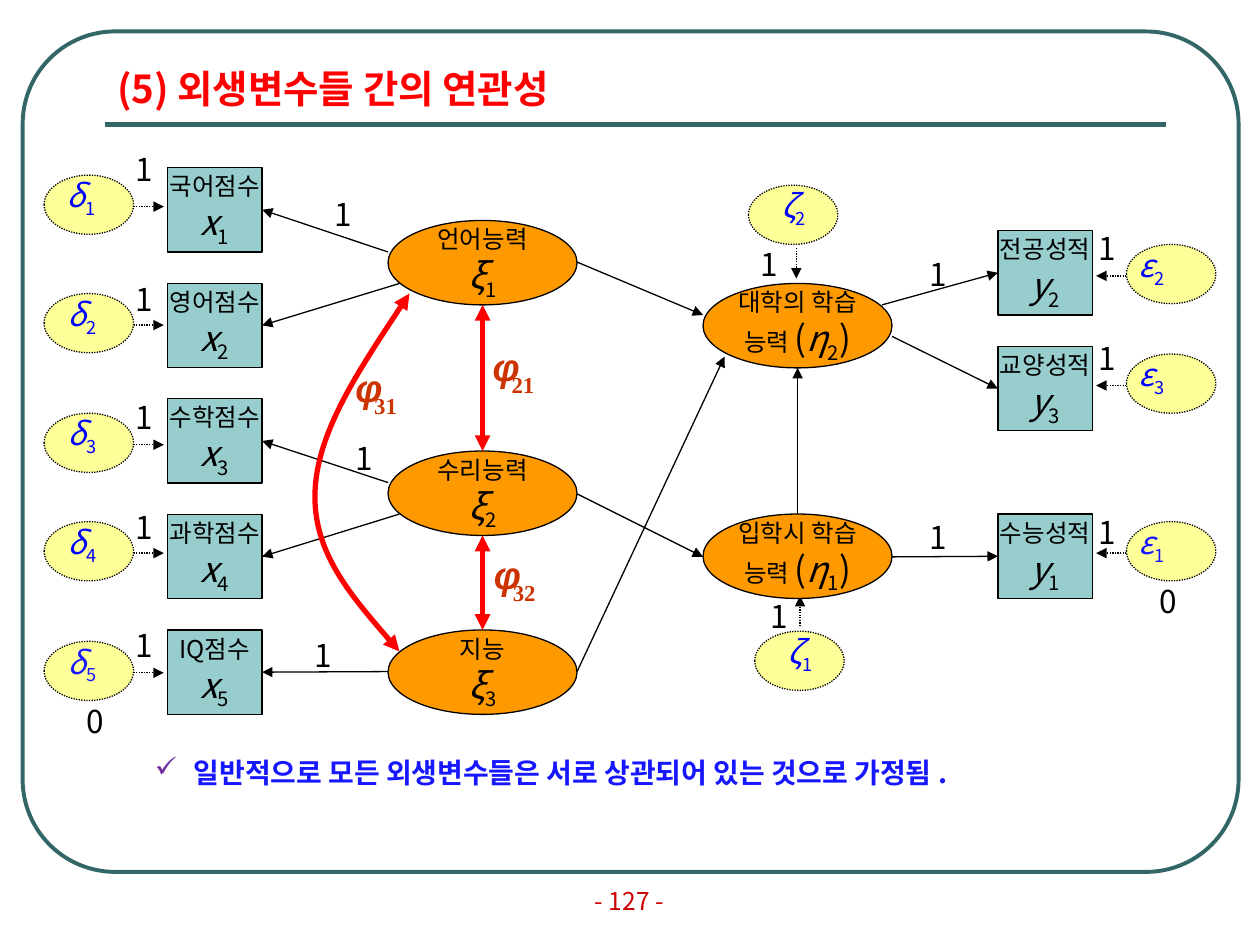
from lxml.etree import SubElement
from pptx import Presentation
from pptx.dml.color import RGBColor
from pptx.enum.dml import MSO_LINE
from pptx.enum.shapes import MSO_CONNECTOR, MSO_SHAPE
from pptx.enum.text import MSO_ANCHOR, MSO_AUTO_SIZE, PP_ALIGN
from pptx.oxml.ns import qn
from pptx.util import Inches, Pt

# Content
TITLE = "(5) 외생변수들 간의 연관성"
NOTE = "일반적으로 모든 외생변수들은 서로 상관되어 있는 것으로 가정됨 ."
PAGE = "- 127 -"

X_NAMES = ["국어점수", "영어점수", "수학점수", "과학점수", "IQ점수"]
Y_ITEMS = [("2", "전공성적", 1.83), ("3", "교양성적", 2.75), ("1", "수능성적", 4.08)]
LATENTS = [  # name, letter, index, left, top
    ("언어능력", "ξ", "1", 3.08, 1.75), ("수리능력", "ξ", "2", 3.08, 3.58),
    ("지능", "ξ", "3", 3.08, 5), ("대학의 학습", "η", "2", 5.58, 2.25),
    ("입학시 학습", "η", "1", 5.58, 4.08)]
ERRORS = [  # letter, index, ellipse left and top, symbol left, symbol width
    ("δ", "1", 0.35, 1.39, 0.43, 0.55), ("δ", "2", 0.35, 2.33, 0.44, 0.55),
    ("δ", "3", 0.35, 3.28, 0.44, 0.55), ("δ", "4", 0.35, 4.14, 0.44, 0.55),
    ("δ", "5", 0.35, 5.09, 0.44, 0.55), ("ε", "2", 8.94, 1.94, 8.94, 0.55),
    ("ε", "3", 8.94, 2.81, 8.94, 0.55), ("ε", "1", 8.94, 4.14, 8.94, 0.55),
    ("ζ", "2", 5.94, 1.47, 6.1, 0.42), ("ζ", "1", 5.99, 5.01, 6.15, 0.42)]
FIXED_ERRORS = {"δ5", "ε1"}  # error variance set to 0
WEIGHTS = {
    "1": [(0.98, 1.14), (0.98, 2.17), (0.98, 3.11), (0.98, 3.98), (0.98, 4.92),
          (5.94, 1.89), (6.02, 4.69), (8.62, 1.77), (8.62, 2.64), (8.62, 4.02),
          (2.56, 1.5), (2.72, 3.43), (2.4, 5), (7.28, 1.97), (7.28, 4.06)],
    "0": [(0.59, 5.52), (9.1, 4.57)]}
LOADINGS = [  # start on the latent variable, indicator
    ((3.08, 2), "x1"), ((3.17, 2.25), "x2"), ((3.08, 3.83), "x3"),
    ((3.17, 4.08), "x4"), ((3.08, 5.33), "x5"), ((7, 2.42), "y2"),
    ((7.08, 2.67), "y3"), ((7.08, 4.42), "y1")]
STRUCTURAL_PATHS = [((4.58, 2.08), (5.58, 2.5)), ((4.58, 5.33), (5.75, 2.83)),
                    ((4.58, 3.92), (5.58, 4.42)), ((6.33, 4.08), (6.33, 2.92))]
DISTURBANCE_PATHS = [((6.32, 1.97), (6.32, 2.21)), ((6.35, 4.97), (6.35, 4.73))]
CORRELATIONS = [((3.83, 2.42), (3.83, 3.58)), ((3.83, 4.25), (3.83, 5))]
CURVE = [(3.25, 2.33), (2.88, 2.89), (2.51, 3.44), (2.5, 3.92),
         (2.49, 4.39), (2.83, 4.78), (3.17, 5.17)]
PHIS = [("31", 2.82, 2.89), ("21", 3.91, 2.72), ("32", 3.92, 4.37)]

THEME = {
    "font": "Noto Sans CJK KR", "phi_font": "Arial", "index_font": "Times New Roman",
    "ink": "000000", "frame": "336666", "page": "CC0000", "title": "FF0000",
    "observed": "97CDCC", "latent": "FF9900", "error": "FFFF99",
    "symbol": "0000FF", "fixed": "1717FF", "correlation": "FF0000",
    "phi": "CC3300", "note": "1717FF", "check": "7030A0",
    "title_size": 22, "note_size": 16, "name_size": 14, "symbol_size": 20,
    "error_size": 18, "page_size": 14, "phi_size": 22, "index_size": 13}

OBSERVED_SIZE, LATENT_SIZE, ERROR_SIZE = (0.75, 0.67), (1.5, 0.67), (0.71, 0.47)
X_LEFT, Y_LEFT, X_TOP, X_STEP = 1.33, 7.92, 1.33, 3.67 / 4

prs = Presentation()
prs.slide_width, prs.slide_height = Inches(10), Inches(7.5)
slide = prs.slides.add_slide(prs.slide_layouts[5])


def inches(*values):
    return [Inches(value) for value in values]


def write(frame, lines, size, color, font=THEME["font"], bold=False,
          align=PP_ALIGN.LEFT, anchor=MSO_ANCHOR.BOTTOM, wrap=True, grow=False, inset=None):
    """Fill a frame; each line is a list of (text, overrides) runs."""
    frame.word_wrap, frame.vertical_anchor = wrap, anchor
    frame.auto_size = MSO_AUTO_SIZE.SHAPE_TO_FIT_TEXT if grow else MSO_AUTO_SIZE.NONE
    if inset is not None:
        frame.margin_left = frame.margin_right = Inches(inset)
        frame.margin_top = frame.margin_bottom = Inches(inset)
    for number, line in enumerate(lines):
        paragraph = frame.add_paragraph() if number else frame.paragraphs[0]
        paragraph.alignment = align
        for text, extra in line:
            run = paragraph.add_run()
            run.text = text
            run.font.size = Pt(extra.get("size", size))
            run.font.bold, run.font.italic = bold, extra.get("italic", False)
            run.font.color.rgb = RGBColor.from_string(color)
            run.font.name = font
            properties = run.font._element
            SubElement(properties, qn("a:ea")).set("typeface", font)
            if extra.get("sub"):
                properties.set("baseline", "-25000")


def text_box(place, lines, shapes=slide.shapes, **style):
    box = shapes.add_textbox(*inches(*place))
    write(box.text_frame, lines, **style)
    return box


def symbol(letter, index, size):
    return [(letter, {"italic": True, "size": size}), (index, {"sub": True, "size": size})]


def outline(line, color=THEME["ink"], width=0.75, dotted=False):
    line.color.rgb = RGBColor.from_string(color)
    line.width = Pt(width)
    if dotted:
        line.dash_style = MSO_LINE.ROUND_DOT


def add_node(preset, place, fill=None, **line_style):
    node = slide.shapes.add_shape(preset, *inches(*place))
    node.shadow.inherit = False
    if fill:
        node.fill.solid()
        node.fill.fore_color.rgb = RGBColor.from_string(fill)
    else:
        node.fill.background()
    outline(node.line, **line_style)
    return node


def add_arrowheads(shape, *ends):
    line = shape.element.spPr.find(qn("a:ln"))
    for end in ends:
        SubElement(line, qn(f"a:{end}")).set("type", "triangle")


def connect(start, end, heads=("tailEnd",), **line_style):
    link = slide.shapes.add_connector(MSO_CONNECTOR.STRAIGHT, *inches(*start, *end))
    outline(link.line, **line_style)
    add_arrowheads(link, *heads)
    SubElement(link.element.spPr, qn("a:effectLst"))
    return link


# Frame, title and rule
frame = add_node(MSO_SHAPE.ROUNDED_RECTANGLE, (0.18, 0.25, 9.65, 6.67),
                 color=THEME["frame"], width=2.25)
frame.adjustments[0] = 0.11
connect((0.83, 0.99), (9.25, 0.99), heads=(), color=THEME["frame"], width=3)
title = slide.shapes.title
title.left, title.top, title.width, title.height = inches(0.83, 0.36, 8.42, 0.57)
write(title.text_frame, [[(TITLE, {})]], size=THEME["title_size"],
      color=THEME["title"], bold=True)

# Error terms, with arrows to the indicators
for letter, index, left, top, symbol_left, symbol_width in ERRORS:
    add_node(MSO_SHAPE.OVAL, (left, top, *ERROR_SIZE), THEME["error"], dotted=True)
    text_box((symbol_left, top, symbol_width, 0.4),
             [symbol(letter, index, THEME["error_size"])], size=THEME["error_size"],
             color=THEME["fixed" if letter + index in FIXED_ERRORS else "symbol"],
             wrap=False, grow=True)
    if letter != "ζ":
        ends = (1.06, 1.3) if letter == "δ" else (8.94, 8.7)
        connect(*((x, top + 0.25) for x in ends), dotted=True)
for start, end in DISTURBANCE_PATHS:
    connect(start, end, dotted=True)

# Observed and latent variables
node_style = dict(size=THEME["name_size"], color=THEME["ink"], align=PP_ALIGN.CENTER,
                  anchor=MSO_ANCHOR.MIDDLE, wrap=False)
big = THEME["symbol_size"]
observed = [("x", str(row + 1), name, X_LEFT, X_TOP + row * X_STEP)
            for row, name in enumerate(X_NAMES)]
observed += [("y", index, name, Y_LEFT, top) for index, name, top in Y_ITEMS]
indicators = {}
for letter, index, name, left, top in observed:
    indicator = add_node(MSO_SHAPE.RECTANGLE, (left, top, *OBSERVED_SIZE), THEME["observed"])
    write(indicator.text_frame, [[(name, {})], symbol(letter, index, big)], **node_style)
    indicators[letter + index] = indicator
for name, letter, index, left, top in LATENTS:
    latent = add_node(MSO_SHAPE.OVAL, (left, top, *LATENT_SIZE), THEME["latent"])
    second_line = symbol(letter, index, big)
    if letter == "η":
        second_line = [("능력 ", {}), ("(", {"size": big}), *second_line, (")", {"size": big})]
    write(latent.text_frame, [[(name, {})], second_line], **node_style)

# Loadings and structural paths
for start, key in LOADINGS:
    connect(start, start).end_connect(indicators[key], 3 if key[0] == "x" else 1)
for start, end in STRUCTURAL_PATHS:
    connect(start, end)

# Correlations among the exogenous variables
both_heads = ("headEnd", "tailEnd")
for start, end in CORRELATIONS:
    connect(start, end, heads=both_heads, color=THEME["correlation"], width=3)
points = [inches(*point) for point in CURVE]
builder = slide.shapes.build_freeform(*points[0])
builder.add_line_segments(points[1:], close=False)
curve = builder.convert_to_shape()
curve.shadow.inherit = False
curve.fill.background()
outline(curve.line, color=THEME["correlation"], width=3)
add_arrowheads(curve, *both_heads)
outline_path = next(curve.element.iter(qn("a:path")))
segments = outline_path.findall(qn("a:lnTo"))
for first in range(0, len(segments), 3):  # every three points make one Bézier
    bezier = SubElement(outline_path, qn("a:cubicBezTo"))
    for segment in segments[first:first + 3]:
        bezier.append(segment[0])
        outline_path.remove(segment)

# Path weights and correlation labels
for weight, places in WEIGHTS.items():
    for left, top in places:
        text_box((left, top, 0.31, 0.4), [[(weight, {})]], size=THEME["error_size"],
                 color=THEME["ink"], grow=True)
phi_style = dict(color=THEME["phi"], bold=True, wrap=False, grow=True, inset=0,
                 anchor=MSO_ANCHOR.TOP)
for index, left, top in PHIS:
    label = slide.shapes.add_group_shape().shapes
    text_box((left + 0.15, top + 0.22, 0.18, 0.22), [[(index, {})]], label,
             size=THEME["index_size"], font=THEME["index_font"], **phi_style)
    text_box((left, top, 0.16, 0.37), [[("φ", {"italic": True})]], label,
             size=THEME["phi_size"], font=THEME["phi_font"], **phi_style)

# Note with check mark, and page number
note = text_box((0.77, 5.92, 8.44, 0.88), [[(NOTE, {})]], size=THEME["note_size"],
                color=THEME["note"], bold=True, align=PP_ALIGN.JUSTIFY, anchor=MSO_ANCHOR.TOP)
paragraph = note.text_frame.paragraphs[0]
paragraph.line_spacing = 1.1
bullet = paragraph._p.get_or_add_pPr()
bullet.set("marL", str(Inches(0.67)))
bullet.set("indent", str(Inches(-0.31)))
SubElement(SubElement(bullet, qn("a:buClr")), qn("a:srgbClr")).set("val", THEME["check"])
SubElement(bullet, qn("a:buChar")).set("char", "✓")
text_box((4.12, 6.9, 1.75, 0.5), [[(PAGE, {})]], size=THEME["page_size"],
         color=THEME["page"], align=PP_ALIGN.CENTER, anchor=MSO_ANCHOR.MIDDLE)

prs.save("out.pptx")
